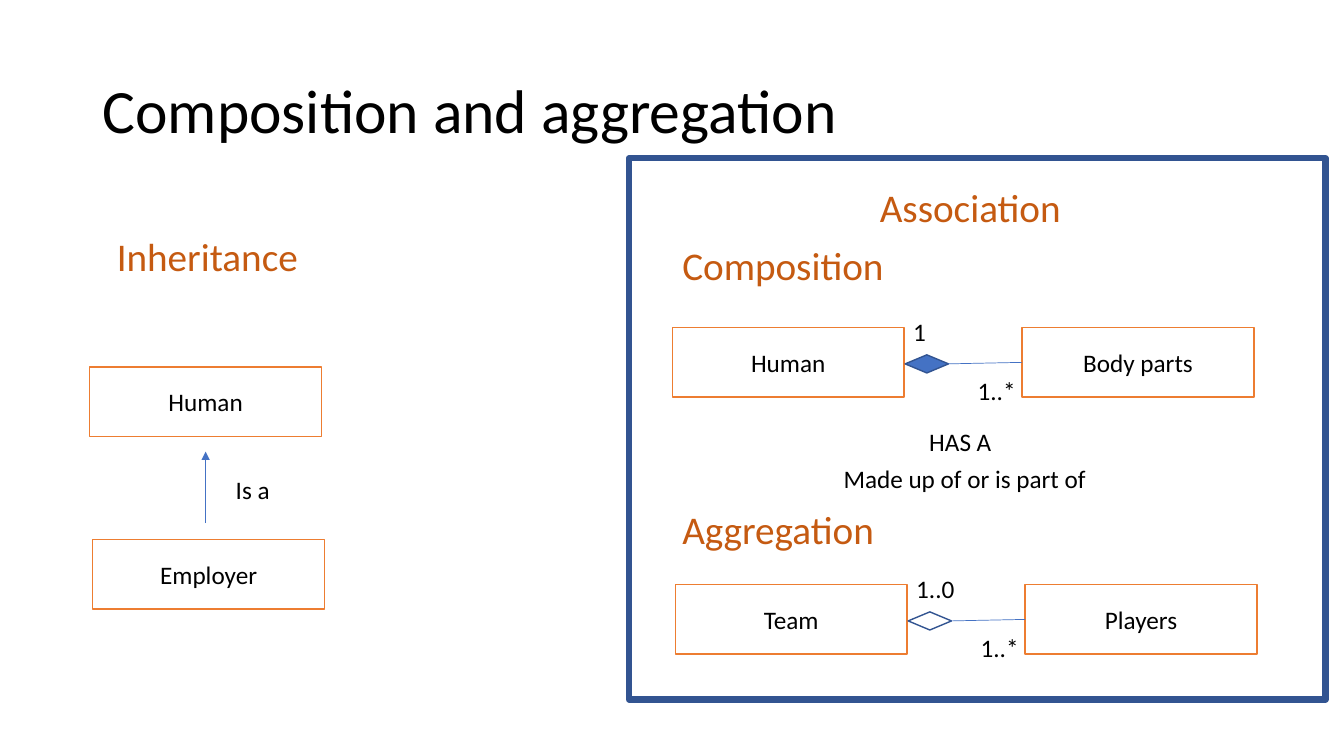
from lxml import etree
from pptx import Presentation
from pptx.dml.color import RGBColor
from pptx.enum.shapes import MSO_CONNECTOR, MSO_SHAPE
from pptx.enum.text import MSO_ANCHOR, MSO_AUTO_SIZE, PP_ALIGN
from pptx.oxml.ns import qn
from pptx.util import Inches, Pt

RECTANGLE, DIAMOND = MSO_SHAPE.RECTANGLE, MSO_SHAPE.DIAMOND
STRAIGHT = MSO_CONNECTOR.STRAIGHT
TOP, MIDDLE = MSO_ANCHOR.TOP, MSO_ANCHOR.MIDDLE
GROW, FIXED = MSO_AUTO_SIZE.SHAPE_TO_FIT_TEXT, MSO_AUTO_SIZE.NONE
LEFT, CENTER = PP_ALIGN.LEFT, PP_ALIGN.CENTER

BLACK = RGBColor(0x00, 0x00, 0x00)
WHITE = RGBColor(0xFF, 0xFF, 0xFF)
ORANGE = RGBColor(0xED, 0x7D, 0x31)
RUST = RGBColor(0xC5, 0x5A, 0x11)
BLUE = RGBColor(0x44, 0x72, 0xC4)
NAVY = RGBColor(0x32, 0x54, 0x91)

FONT = "Calibri"
BODY_SIZE, HEADING_SIZE, TITLE_SIZE = 18, 28, 44

# All lengths below are columns and rows of a square grid.
CELL = Inches(0.1)
COLUMNS, ROWS = 133.33, 75
CLASS_WIDTH, CLASS_HEIGHT = 23, 6.9
LABEL_HEIGHT, HEADING_HEIGHT = 4, 5.7
PARTNER_OFFSET = 34.7  # from the whole's left edge to the part's left edge


def grid(*cells):
    return [round(cell * CELL) for cell in cells]


def write_text(frame, text, size=BODY_SIZE, color=BLACK, align=LEFT,
               anchor=TOP, wrap=True, fit=FIXED, spacing=None):
    frame.word_wrap = wrap
    frame.auto_size = fit
    frame.vertical_anchor = anchor
    paragraph = frame.paragraphs[0]
    paragraph.alignment = align
    paragraph.line_spacing = spacing
    run = paragraph.add_run()
    run.text = text
    run.font.name = FONT
    run.font.size = Pt(size)
    run.font.color.rgb = color


def add_label(slide, text, col, row, width, height=LABEL_HEIGHT, **text_format):
    label = slide.shapes.add_textbox(*grid(col, row, width, height))
    write_text(label.text_frame, text, **{"fit": GROW, **text_format})


def add_heading(slide, text, col, row, width):
    add_label(slide, text, col, row, width, HEADING_HEIGHT,
              size=HEADING_SIZE, color=RUST, wrap=False)


def add_outlined(slide, preset, col, row, width, height, line, weight=1, fill=None):
    outlined = slide.shapes.add_shape(preset, *grid(col, row, width, height))
    outlined.shadow.inherit = False
    if fill is None:
        outlined.fill.background()
    else:
        outlined.fill.solid()
        outlined.fill.fore_color.rgb = fill
    outlined.line.color.rgb = line
    outlined.line.width = Pt(weight)
    return outlined


def add_class(slide, name, col, row):
    class_box = add_outlined(slide, RECTANGLE, col, row, CLASS_WIDTH, CLASS_HEIGHT,
                             ORANGE, fill=WHITE)
    write_text(class_box.text_frame, name, align=CENTER, anchor=MIDDLE)


def add_link(slide, start, end, arrow=False):
    link = slide.shapes.add_connector(STRAIGHT, *grid(*start, *end))
    link.line.color.rgb = BLUE
    link.line.width = Pt(0.5)
    if arrow:
        outline = link.line._get_or_add_ln()
        etree.SubElement(outline, qn("a:tailEnd"), type="triangle")
    etree.SubElement(link._element.spPr, qn("a:effectLst"))


def add_association(slide, col, row, whole, part, whole_count, part_count,
                    diamond_fill=None):
    """Draw a whole and its part, joined by a diamond-ended link with counts."""
    part_col = col + PARTNER_OFFSET
    add_class(slide, whole, col, row)
    add_class(slide, part, part_col, row)
    add_outlined(slide, DIAMOND, col + 23.1, row + 2.7, 4.3, 1.8,
                 NAVY, fill=diamond_fill)
    add_link(slide, (part_col, row + 3.45), (col + 27.3, row + 3.6))
    add_label(slide, whole_count, col + 22.9, row - 1.65, 6.5)
    add_label(slide, part_count, col + 29.3, row + 4.2, 10.3)


def add_inheritance(slide):
    add_heading(slide, "Inheritance", 10.6, 22.6, 20.2)
    add_class(slide, "Human", 8.9, 36.4)
    add_class(slide, "Employer", 9.2, 53.5)
    add_link(slide, (20.4, 51.9), (20.4, 44.8), arrow=True)
    add_label(slide, "Is a", 22.4, 46.6, 8.2)


def add_association_panel(slide):
    add_outlined(slide, RECTANGLE, 62.4, 15.7, 69.1, 53.7, NAVY, weight=4.5)
    add_heading(slide, "Association", 86.3, 17.7, 20.2)
    add_heading(slide, "Composition", 66.7, 23.4, 22.2)
    add_association(slide, 66.7, 32.5, "Human", "Body parts", "1", "1..*",
                    diamond_fill=BLUE)
    add_label(slide, "HAS A", 91.2, 41.8, 9.5)
    add_label(slide, "Made up of or is part of", 82.7, 45.5, 26.4, wrap=False)
    add_heading(slide, "Aggregation", 66.7, 49.6, 21.2)
    add_association(slide, 67, 58, "Team", "Players", "1..0", "1..*")


def main():
    deck = Presentation()
    deck.slide_width, deck.slide_height = grid(COLUMNS, ROWS)
    slide = deck.slides.add_slide(deck.slide_layouts[6])
    add_label(slide, "Composition and aggregation", 9.2, 4, 115, 14.5,
              size=TITLE_SIZE, anchor=MIDDLE, fit=FIXED, spacing=0.9)
    add_inheritance(slide)
    add_association_panel(slide)
    deck.save("out.pptx")


if __name__ == "__main__":
    main()
